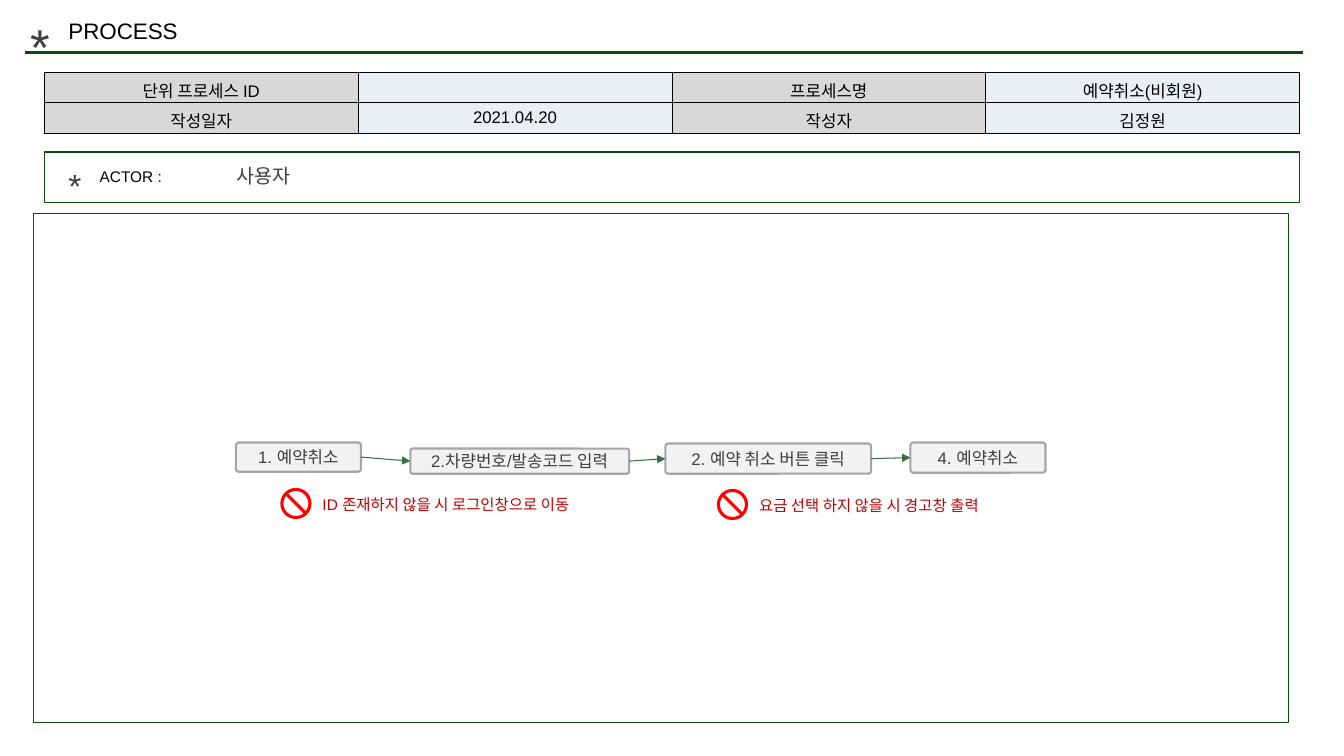
from pptx import Presentation
from pptx.dml.color import RGBColor
from pptx.enum import shapes, text
from pptx.oxml import xmlchemy
from pptx.util import Inches, Pt

FONT = "Arial"
WHITE = RGBColor(0xFF, 0xFF, 0xFF)
BLACK = RGBColor(0, 0, 0)
DARK = RGBColor(0x3F, 0x3F, 0x3F)
GREEN = RGBColor(0x0C, 0x4B, 0x09)
ARROW_GREEN = RGBColor(0x36, 0x6E, 0x45)
LABEL_GRAY = RGBColor(0xD8, 0xD8, 0xD8)
VALUE_BLUE = RGBColor(0xE9, 0xEF, 0xF7)
STEP_FILL = RGBColor(0xF2, 0xF2, 0xF2)
STEP_LINE = RGBColor(0xA5, 0xA5, 0xA5)
RED = RGBColor(0xFF, 0, 0)
DARK_RED = RGBColor(0xC0, 0, 0)


def add_xml(parent, tag, **attrs):
    child = xmlchemy.OxmlElement(tag)
    for name, value in attrs.items():
        child.set(name, value)
    parent.append(child)
    return child


def write(tf, content, size, color, align=None):
    p = tf.paragraphs[0]
    p.text = content
    p.alignment = align
    p.font.size, p.font.name = Pt(size), FONT
    p.font.color.rgb = color


def add_label(slide, x, y, w, h, content, size, color):
    tf = slide.shapes.add_textbox(Inches(x), Inches(y), Inches(w), Inches(h)).text_frame
    tf.word_wrap = True
    write(tf, content, size, color)


def add_box(slide, kind, x, y, w, h, fill=None, line=None, width=1):
    sp = slide.shapes.add_shape(kind, Inches(x), Inches(y), Inches(w), Inches(h))
    sp.shadow.inherit = False
    if fill is None:
        sp.fill.background()
    else:
        sp.fill.solid()
        sp.fill.fore_color.rgb = fill
    if line is None:
        sp.line.fill.background()
    else:
        sp.line.color.rgb = line
        sp.line.width = Pt(width)
    return sp


def add_line(slide, x1, y1, x2, y2, color, width):
    line = slide.shapes.add_connector(
        shapes.MSO_CONNECTOR.STRAIGHT, Inches(x1), Inches(y1), Inches(x2), Inches(y2))
    line.line.color.rgb = color
    line.line.width = Pt(width)
    add_xml(line._element.spPr, "a:effectLst")
    return line


def add_header(slide, x, y, w):
    add_line(slide, x, y + 0.42, x + w, y + 0.42, GREEN, 2.25)
    add_label(slide, x - 0.05, y, 0.52, 0.71, "*", 36, DARK)
    add_label(slide, x + 0.33, y + 0.02, 4.32, 0.37, "PROCESS", 16, BLACK)


def style_cell(cell, content, fill):
    cell.vertical_anchor = text.MSO_ANCHOR.MIDDLE
    write(cell.text_frame, content, 12, BLACK, text.PP_ALIGN.CENTER)
    if not content:  # keeps the empty row low
        add_xml(cell.text_frame.paragraphs[0]._p, "a:endParaRPr", sz="1200")
    tc_pr = cell._tc.get_or_add_tcPr()
    for side in ("a:lnL", "a:lnR", "a:lnT", "a:lnB"):
        border = add_xml(tc_pr, side, w=str(Pt(0.75)))
        add_xml(add_xml(border, "a:solidFill"), "a:srgbClr", val=str(BLACK))
    cell.fill.solid()
    cell.fill.fore_color.rgb = fill


def add_info_table(slide, x, y, w, h):
    rows = [("단위 프로세스 ID", "", "프로세스명", "예약취소(비회원)"),
            ("작성일자", "2021.04.20", "작성자", "김정원")]
    table = slide.shapes.add_table(
        2, 4, Inches(x), Inches(y), Inches(w), Inches(h)).table
    table.first_row = table.horz_banding = False
    for r, row in enumerate(rows):
        for c, content in enumerate(row):
            style_cell(table.cell(r, c), content, VALUE_BLUE if c % 2 else LABEL_GRAY)


def add_actor(slide, x, y, w, h):
    add_label(slide, x + 0.14, y + 0.08, 0.52, 0.49, "*", 24, DARK)
    add_label(slide, x + 0.45, y + 0.1, 1.33, 0.29, "ACTOR :", 11, BLACK)
    add_box(slide, shapes.MSO_SHAPE.RECTANGLE, x, y, w, h, line=GREEN)
    add_label(slide, x + 1.81, y + 0.07, 4.32, 0.32, "사용자", 14, DARK)


def add_step(slide, x, y, w, h, content):
    sp = add_box(slide, shapes.MSO_SHAPE.ROUNDED_RECTANGLE, x, y, w, h,
                 STEP_FILL, STEP_LINE, 1.5)
    sp.adjustments[0] = 0.1
    tf = sp.text_frame
    tf.word_wrap = True
    tf.margin_left = tf.margin_right = tf.margin_top = tf.margin_bottom = Inches(0.04)
    tf.vertical_anchor = text.MSO_ANCHOR.MIDDLE
    write(tf, content, 12, DARK, text.PP_ALIGN.CENTER)
    return sp


def add_arrow(slide, start, end):
    arrow = add_line(slide, 0, 0, 1, 1, ARROW_GREEN, 0.75)
    arrow.begin_connect(start, 3)  # right side
    arrow.end_connect(end, 1)  # left side
    add_xml(arrow.line._get_or_add_ln(), "a:tailEnd", type="triangle")


def add_warning(slide, x, y, w, content):
    sign = add_box(slide, shapes.MSO_SHAPE.NO_SYMBOL, x, y, 0.31, 0.31, RED)
    sign.adjustments[0] = 0.1
    add_label(slide, x + 0.32, y + 0.02, w, 0.28, content, 11, DARK_RED)


def add_flow(slide, x, y, w, h):
    add_box(slide, shapes.MSO_SHAPE.RECTANGLE, x, y, w, h, line=GREEN)
    # Steps: offset in the frame, size, wording
    steps = [(2.01, 2.27, 1.24, 0.29, "1. 예약취소"),
             (3.74, 2.33, 2.17, 0.25, "2.차량번호/발송코드 입력"),
             (6.27, 2.28, 2.04, 0.3, "2. 예약 취소 버튼 클릭"),
             (8.7, 2.27, 1.34, 0.3, "4. 예약취소")]
    boxes = [add_step(slide, x + dx, y + dy, sw, sh, content)
             for dx, dy, sw, sh, content in steps]
    for start, end in zip(boxes, boxes[1:]):
        add_arrow(slide, start, end)
    # Warnings below the steps
    add_warning(slide, x + 2.45, y + 2.72, 2.95, "ID 존재하지 않을 시 로그인창으로 이동")
    add_warning(slide, x + 6.78, y + 2.73, 2.61, "요금 선택 하지 않을 시 경고창 출력")


def main():
    prs = Presentation()
    prs.slide_width, prs.slide_height = Inches(13.33), Inches(7.5)
    slide = prs.slides.add_slide(prs.slide_layouts[6])
    slide.background.fill.solid()
    slide.background.fill.fore_color.rgb = WHITE
    add_header(slide, 0.25, 0.1, 12.67)
    add_info_table(slide, 0.44, 0.72, 12.45, 0.6)
    add_actor(slide, 0.44, 1.51, 12.45, 0.5)
    add_flow(slide, 0.33, 2.12, 12.45, 5.05)
    prs.save("out.pptx")


if __name__ == "__main__":
    main()
